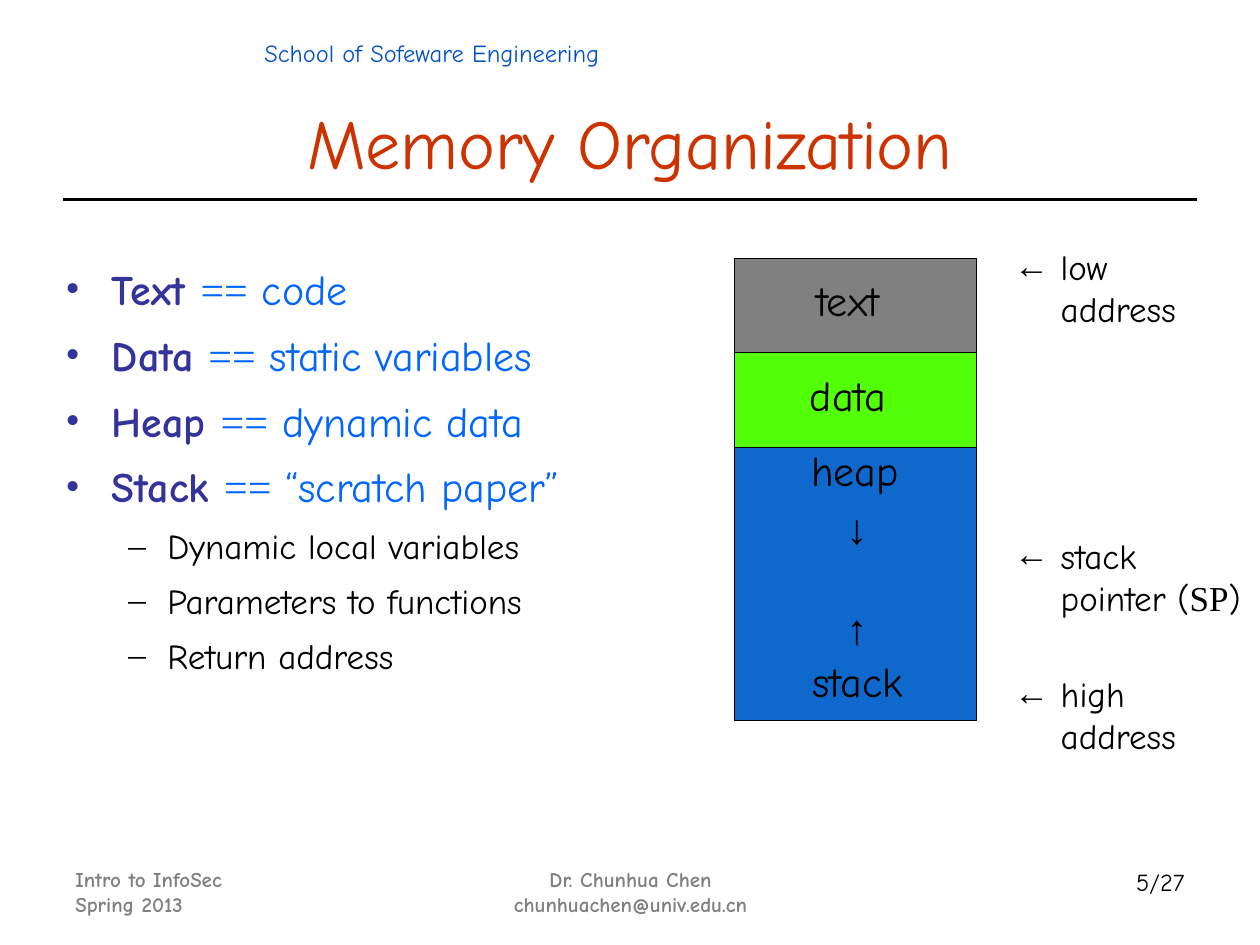
from lxml import etree
from pptx import Presentation
from pptx.dml.color import RGBColor
from pptx.enum import shapes, text
from pptx.oxml import ns
from pptx.util import Inches, Pt

HAND, SERIF, SANS = "Comic Neue", "Times New Roman", "Arial"
COLORS = {
    "black": "000000", "gray": "808080", "red": "CC3300", "head": "0051C8",
    "navy": "333399", "blue": "0066FF", "green": "53FF07", "stack": "0F69CC",
}
LEFT, CENTER, RIGHT = text.PP_ALIGN.LEFT, text.PP_ALIGN.CENTER, text.PP_ALIGN.RIGHT


def color(name):
    return RGBColor.from_string(COLORS[name])


def style(font, size=None, tint=None, face=None, bold=None):
    if size:
        font.size = Pt(size)
    if tint:
        font.color.rgb = color(tint)
    if face:
        font.name = face
    if bold is not None:
        font.bold = bold


def indent(para, left, hang=0):
    props = para._p.get_or_add_pPr()
    props.set("marL", str(Inches(left)))
    props.set("indent", str(Inches(-hang)))
    return props


def bullet(para, mark, tint, left, hang):
    """Give the paragraph a coloured mark; call before its font is set."""
    props = indent(para, left, hang)
    paint = etree.SubElement(props, ns.qn("a:buClr"))
    etree.SubElement(paint, ns.qn("a:srgbClr"), val=COLORS[tint])
    etree.SubElement(props, ns.qn("a:buFont"), typeface=SERIF)
    etree.SubElement(props, ns.qn("a:buChar"), char=mark)


def add_box(slide, left, top, width, height):
    box = slide.shapes.add_textbox(
        Inches(left), Inches(top), Inches(width), Inches(height))
    box.text_frame.word_wrap = True
    return box.text_frame


def next_para(frame, first):
    return frame.paragraphs[0] if first else frame.add_paragraph()


def add_text(slide, place, lines, size, tint="black", face=HAND,
             bold=False, align=LEFT, gap=0):
    frame = add_box(slide, *place)
    for i, line in enumerate(lines):
        para = next_para(frame, i == 0)
        para.text = line
        para.alignment = align
        para.space_before = Pt(gap if i else 0)
        style(para.font, size, tint, face, bold)


def add_title(slide, words):
    title = slide.shapes.title
    title.left, title.top = Inches(0.75), Inches(0.5)
    title.width, title.height = Inches(8.5), Inches(1.25)
    frame = title.text_frame
    frame.text = words
    frame.vertical_anchor = text.MSO_ANCHOR.MIDDLE
    frame.paragraphs[0].alignment = CENTER
    style(frame.paragraphs[0].font, 40, "red", HAND)


def add_rule(slide, top):
    line = slide.shapes.add_connector(
        shapes.MSO_CONNECTOR.STRAIGHT,
        Inches(0.5), Inches(top), Inches(9.5), Inches(top))
    line.line.color.rgb = color("black")
    line.line.width = Pt(1.75)
    etree.SubElement(line._element.spPr, ns.qn("a:effectLst"))


def add_points(slide, terms, details):
    frame = add_box(slide, 0.42, 2, 5.25, 4.67)
    for i, (term, meaning) in enumerate(terms):
        para = next_para(frame, i == 0)
        bullet(para, "•", "navy", 0.37, 0.37)
        para.line_spacing, para.space_before = 1.1, Pt(6)
        style(para.font, 24, "blue", HAND)
        for words, look in (
            (term + " ", {"tint": "navy", "bold": True}),
            ("==", {"face": SERIF}),
            (" " + meaning, {}),
        ):
            run = para.add_run()
            run.text = words
            style(run.font, **look)
    for detail in details:
        para = frame.add_paragraph()
        para.text = detail
        para.level = 1
        bullet(para, "–", "black", 0.81, 0.31)
        para.line_spacing, para.space_before = 1.1, Pt(5)
        style(para.font, 20, "black", HAND)


def add_block(slide, top, height, fill):
    block = slide.shapes.add_shape(
        shapes.MSO_SHAPE.RECTANGLE,
        Inches(5.83), Inches(top), Inches(1.92), Inches(height))
    block.shadow.inherit = False
    block.fill.solid()
    block.fill.fore_color.rgb = color(fill)
    block.line.color.rgb = color("black")
    block.line.width = Pt(0.75)


def add_mark(slide, top, word, runs):
    """Label an address with an arrow, a word and a second line of runs."""
    frame = add_box(slide, 7.95, top, 2.05, 0.77)
    frame.margin_right = 0
    first, second = frame.paragraphs[0], frame.add_paragraph()
    first.text = word
    bullet(first, "←", "black", 0.37, 0.37)
    indent(second, 0.37)
    for words, face in runs:
        run = second.add_run()
        run.text = words
        run.font.name = face
    for para in (first, second):
        style(para.font, 20, "black", HAND)


def main():
    deck = Presentation()
    deck.slide_width, deck.slide_height = Inches(10), Inches(7.5)
    slide = deck.slides.add_slide(deck.slide_layouts[5])

    add_text(slide, (2, 0.25, 4.33, 0.34),
             ["School of Sofeware Engineering"], 14, "head")
    add_title(slide, "Memory Organization")
    add_rule(slide, 1.58)
    add_points(
        slide,
        [("Text", "code"), ("Data", "static variables"),
         ("Heap", "dynamic data"), ("Stack", "“scratch paper”")],
        ["Dynamic local variables", "Parameters to functions", "Return address"],
    )

    for top, height, fill in ((2.05, 0.75, "gray"), (2.8, 0.75, "green"),
                              (3.55, 2.17, "stack")):
        add_block(slide, top, height, fill)
    for left, top, word in ((6.38, 2.13, "text"), (6.33, 2.88, "data"),
                            (6.34, 3.48, "heap"), (6.35, 5.15, "stack")):
        add_text(slide, (left, top, 1.1, 0.5), [word], 24)
    add_text(slide, (6.55, 3.94, 0.5, 1.3), ["↓", "↑"], 24,
             face=SANS, align=CENTER, gap=28)

    address = [("address", HAND)]
    pointer = [("pointer (", HAND), ("SP", SERIF), (")", HAND)]
    for top, word, runs in ((1.9, "low", address), (4.19, "stack", pointer),
                            (5.29, "high", address)):
        add_mark(slide, top, word, runs)

    add_text(slide, (0.5, 6.83, 2.67, 0.52),
             ["Intro to InfoSec", "Spring 2013"], 12, "gray", bold=True)
    add_text(slide, (3.42, 6.83, 3.17, 0.52),
             ["Dr. Chunhua Chen", "chunhuachen@univ.edu.cn"], 12, "gray",
             bold=True, align=CENTER)
    add_text(slide, (7.17, 6.83, 2.33, 0.52), ["5/27"], 14, align=RIGHT)
    deck.save("out.pptx")


if __name__ == "__main__":
    main()
